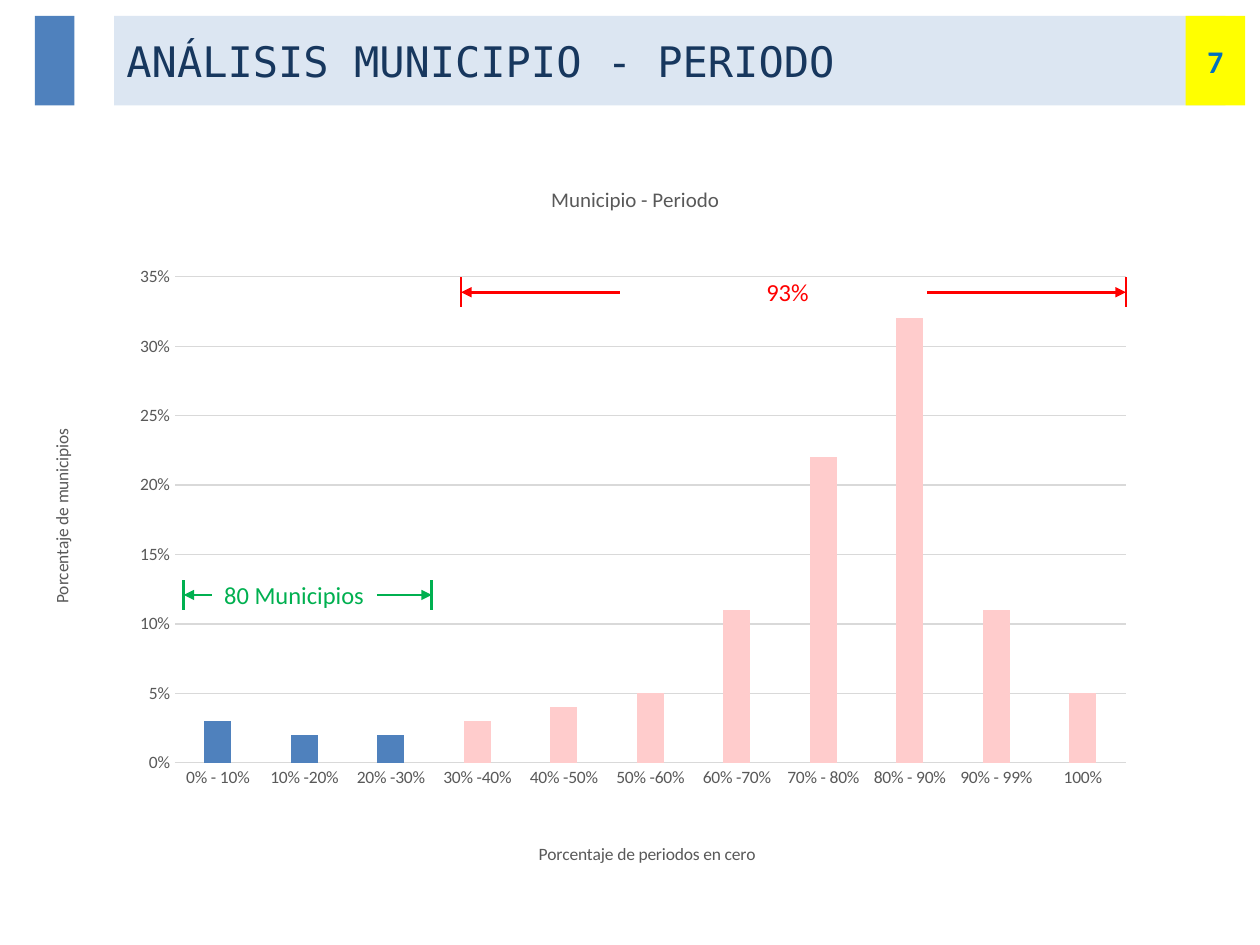
from dataclasses import dataclass

from lxml.etree import SubElement
from pptx import Presentation
from pptx.chart.data import CategoryChartData
from pptx.dml.color import RGBColor
from pptx.enum.chart import XL_CHART_TYPE as ChartType, XL_TICK_MARK as TickMark
from pptx.enum.shapes import MSO_CONNECTOR as Connector, MSO_SHAPE as Shape
from pptx.enum.text import MSO_ANCHOR as Anchor, PP_ALIGN as Align
from pptx.oxml import parse_xml
from pptx.oxml.ns import nsdecls, qn
from pptx.util import Pt

BLUE, PINK, GREY, GRID = "4F81BD", "FFCCCC", "595959", "D9D9D9"
BAND_TOP, BAND_HEIGHT = 9.1, 51.1
CAP_HALF = 8.5

SHARES = {
    "0% - 10%": 0.03, "10% -20%": 0.02, "20% -30%": 0.02, "30% -40%": 0.03,
    "40% -50%": 0.04, "50% -60%": 0.05, "60% -70%": 0.11, "70% - 80%": 0.22,
    "80% - 90%": 0.32, "90% - 99%": 0.11, "100%": 0.05,
}
FIRST_PINK = 3


@dataclass
class Band:
    left: float
    width: float
    fill: str


@dataclass
class Span:
    """A labelled range: end caps, with arrows pointing out to them."""
    left: float
    right: float
    y: float
    left_tail: float
    right_tail: float
    label: str
    label_left: float
    label_width: float
    color: str


SPANS = [
    Span(263.5, 643.4, 167, 354.2, 530, "93%", 430.8, 56.9, "FF0000"),
    Span(105, 246.7, 340, 121, 215.3, "80 Municipios", 121, 96.5, "00B050"),
]


def rgb(color: str) -> RGBColor:
    return RGBColor.from_string(color)


def set_font(font, size: float, color: str, name="Calibri", bold=False) -> None:
    font.size, font.name, font.bold = Pt(size), name, bold
    font.color.rgb = rgb(color)


def write(frame, text: str, *, size: float, color: str, name="Calibri",
          bold=False, align=Align.LEFT, anchor=Anchor.TOP) -> None:
    frame.word_wrap = True
    frame.vertical_anchor = anchor
    para = frame.paragraphs[0]
    para.alignment = align
    run = para.add_run()
    run.text = text
    set_font(run.font, size, color, name, bold)


def add_band(page, band: Band):
    box = page.shapes.add_shape(Shape.RECTANGLE, Pt(band.left), Pt(BAND_TOP),
                                Pt(band.width), Pt(BAND_HEIGHT))
    box.shadow.inherit = False
    box.fill.solid()
    box.fill.fore_color.rgb = rgb(band.fill)
    box.line.fill.background()
    return box


def add_line(page, x1: float, y1: float, x2: float, y2: float, color: str,
             arrow=False) -> None:
    line = page.shapes.add_connector(Connector.STRAIGHT, Pt(x1), Pt(y1), Pt(x2), Pt(y2))
    line.line.color.rgb = rgb(color)
    line.line.width = Pt(1.5)
    if arrow:
        SubElement(line.line._get_or_add_ln(), qn("a:tailEnd"), type="triangle")
    SubElement(line.element.spPr, qn("a:effectLst"))


def add_span(page, span: Span) -> None:
    for end, tail in ((span.left, span.left_tail), (span.right, span.right_tail)):
        add_line(page, end, span.y - CAP_HALF, end, span.y + CAP_HALF, span.color)
        add_line(page, tail, span.y, end, span.y, span.color, arrow=True)
    box = page.shapes.add_textbox(Pt(span.label_left), Pt(span.y - 12),
                                  Pt(span.label_width), Pt(24.5))
    write(box.text_frame, span.label, size=14, color=span.color)


def place(element, index: int, target="", **fractions: float) -> None:
    """Give a chart part a manual layout, in fractions of the chart."""
    for layout in element.findall(qn("c:layout")):
        element.remove(layout)
    inner = f'<c:layoutTarget val="{target}"/>' if target else ""
    values = "".join(f'<c:{key} val="{value}"/>' for key, value in fractions.items())
    element.insert(index, parse_xml(
        f'<c:layout {nsdecls("c")}><c:manualLayout>{inner}'
        f'<c:xMode val="edge"/><c:yMode val="edge"/>{values}'
        '</c:manualLayout></c:layout>'))


def set_title(title, text: str, size: float, x: float, y: float) -> None:
    title.text_frame.text = text
    set_font(title.text_frame.paragraphs[0].runs[0].font, size, GREY)
    place(title.text_frame._txBody.getparent().getparent(), 1, x=x, y=y)


def add_chart(page) -> None:
    data = CategoryChartData(number_format="0%")
    data.categories = list(SHARES)
    data.add_series("Municipios", list(SHARES.values()))
    chart = page.shapes.add_chart(ChartType.COLUMN_CLUSTERED, Pt(20.2), Pt(100),
                                  Pt(680.4), Pt(396.7), data).chart
    set_font(chart.font, 10, GREY)
    chart.has_legend = False
    set_title(chart.chart_title, "Municipio - Periodo", 12, 0.43, 0.01)
    place(chart.element.find(".//" + qn("c:plotArea")), 0, "inner",
          x=0.117, y=0.148, w=0.799, h=0.706)

    plot = chart.plots[0]
    plot.gap_width, plot.overlap = 219, -27
    plot.vary_by_categories = False
    series = plot.series[0]
    series.format.fill.solid()
    series.format.fill.fore_color.rgb = rgb(BLUE)
    for index in range(FIRST_PINK, len(SHARES)):
        fill = series.points[index].format.fill
        fill.solid()
        fill.fore_color.rgb = rgb(PINK)

    categories, values = chart.category_axis, chart.value_axis
    set_title(categories.axis_title, "Porcentaje de periodos en cero", 10, 0.42, 0.965)
    set_title(values.axis_title, "Porcentaje de municipios", 10, 0.01, 0.366)
    values.axis_title.text_frame._txBody.find(qn("a:bodyPr")).set("rot", "-5400000")
    for axis in (categories, values):
        axis.major_tick_mark = axis.minor_tick_mark = TickMark.NONE
        set_font(axis.tick_labels.font, 10, GREY)
    values.minimum_scale, values.maximum_scale, values.major_unit = 0, 0.35, 0.05
    values.tick_labels.number_format = "0%"
    values.tick_labels.number_format_is_linked = False
    values.format.line.fill.background()
    for line in (categories.format.line, values.major_gridlines.format.line):
        line.color.rgb = rgb(GRID)
        line.width = Pt(0.75)


def main() -> None:
    deck = Presentation()
    deck.slide_width, deck.slide_height = Pt(720), Pt(540)
    page = deck.slides.add_slide(deck.slide_layouts[6])
    add_chart(page)
    heading = add_band(page, Band(65.2, 635, "DCE6F2"))
    write(heading.text_frame, "ANÁLISIS MUNICIPIO - PERIODO", size=24, color="17375E",
          name="DejaVu Sans Mono", anchor=Anchor.MIDDLE)
    add_band(page, Band(20, 22.5, BLUE))
    number = add_band(page, Band(677.5, 34, "FFFF00"))
    write(number.text_frame, "7", size=18, color="0070C0", bold=True,
          align=Align.CENTER, anchor=Anchor.MIDDLE)
    for span in SPANS:
        add_span(page, span)
    deck.save("out.pptx")


if __name__ == "__main__":
    main()
